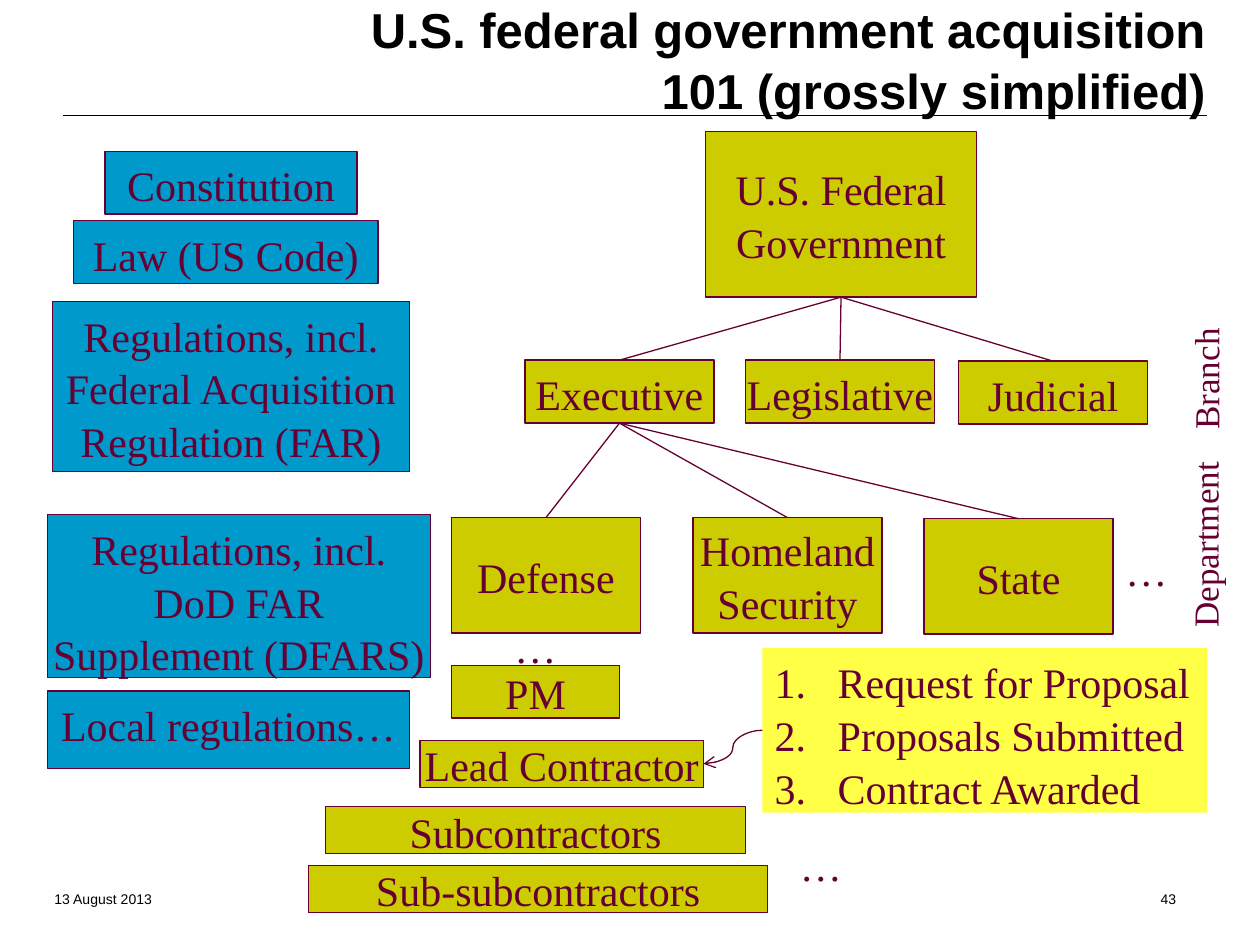
from dataclasses import dataclass

from lxml import etree
from pptx import Presentation, util as u
from pptx.dml.color import RGBColor
from pptx.enum import shapes, text
from pptx.oxml import ns

TOP, MIDDLE, BOTTOM = (text.MSO_ANCHOR.TOP, text.MSO_ANCHOR.MIDDLE,
                       text.MSO_ANCHOR.BOTTOM)
LEFT, CENTER, RIGHT = text.PP_ALIGN.LEFT, text.PP_ALIGN.CENTER, text.PP_ALIGN.RIGHT
SIDE_TOP, SIDE_LEFT, SIDE_BOTTOM, SIDE_RIGHT = range(4)


@dataclass(frozen=True)
class Theme:
    """Colours, fonts and type sizes of the slide."""
    plum: str = "660033"
    olive: str = "CCCC00"
    blue: str = "0099CC"
    yellow: str = "FFFF47"
    black: str = "000000"
    serif: str = "Times New Roman"
    sans: str = "Arial"
    title: int = 28
    body: int = 24
    label: int = 20
    footer: int = 8
    leading: float = 1.05
    stroke: float = 0.75


class Deck:
    """Draws elements on a grid of 120 columns by 90 rows."""
    columns, rows = 120, 90

    def __init__(self, theme):
        """Start a presentation with one title-only slide."""
        self.theme = theme
        self.presentation = Presentation()
        self.presentation.slide_width = u.Inches(10)
        self.presentation.slide_height = u.Inches(7.5)
        self.slide = self.presentation.slides.add_slide(
            self.presentation.slide_layouts[5])

    def x(self, column):
        """Turn a column into a length."""
        return round(self.presentation.slide_width * column / self.columns)

    def y(self, row):
        """Turn a row into a length."""
        return round(self.presentation.slide_height * row / self.rows)

    def area(self, left, top, width, height):
        """Turn a grid area into lengths."""
        return self.x(left), self.y(top), self.x(width), self.y(height)

    def apply(self, target, formats):
        """Set attributes from a dict of format values."""
        for attribute, value in formats.items():
            setattr(target, attribute, value)

    def fill_text(self, shape, wording, size, color, face, align=LEFT,
                  anchor=TOP, wrap=False, bold=False):
        """Fill a shape with formatted paragraphs."""
        frame = shape.text_frame
        frame.text = wording
        self.apply(frame, {"word_wrap": wrap, "vertical_anchor": anchor,
                           "auto_size": text.MSO_AUTO_SIZE.NONE})
        for paragraph in frame.paragraphs:
            self.apply(paragraph, {"alignment": align,
                                   "line_spacing": self.theme.leading})
            font = paragraph.runs[0].font
            self.apply(font, {"size": u.Pt(size), "name": face, "bold": bold})
            font.color.rgb = RGBColor.from_string(color)

    def title(self, wording, area):
        """Place and format the title placeholder."""
        heading = self.slide.shapes.title
        self.apply(heading, dict(zip(("left", "top", "width", "height"),
                                     self.area(*area))))
        self.fill_text(heading, wording, self.theme.title, self.theme.black,
                       self.theme.sans, RIGHT, BOTTOM, True, True)

    def box(self, wording, area, fill, anchor=MIDDLE, align=CENTER, outlined=True):
        """Add a filled rectangle with text."""
        box = self.slide.shapes.add_shape(
            shapes.MSO_SHAPE.RECTANGLE, *self.area(*area))
        box.shadow.inherit = False
        box.fill.solid()
        box.fill.fore_color.rgb = RGBColor.from_string(fill)
        if outlined:
            self.stroke(box.line, self.theme.plum)
        else:
            box.line.fill.background()
        self.fill_text(box, wording, self.theme.body, self.theme.plum,
                       self.theme.serif, align, anchor)
        return box

    def steps(self, wording, area):
        """Add a numbered list on a yellow panel."""
        panel = self.box(wording, area, self.theme.yellow, TOP, LEFT, False)
        for paragraph in panel.text_frame.paragraphs:
            properties = paragraph._p.get_or_add_pPr()
            properties.set("marL", str(u.Inches(0.5)))
            properties.set("indent", str(-u.Inches(0.5)))
            etree.SubElement(properties, ns.qn("a:buFont"), typeface="+mj-lt")
            etree.SubElement(properties, ns.qn("a:buAutoNum"), type="arabicPeriod")
        return panel

    def label(self, wording, area, size=None, rotation=0):
        """Add a plain text label."""
        label = self.slide.shapes.add_textbox(*self.area(*area))
        label.rotation = rotation
        self.fill_text(label, wording, size or self.theme.body, self.theme.plum,
                       self.theme.serif)

    def footer(self, wording, area, align):
        """Add a small footer text."""
        footer = self.slide.shapes.add_textbox(*self.area(*area))
        self.fill_text(footer, wording, self.theme.footer, self.theme.black,
                       self.theme.sans, align, BOTTOM, True)

    def stroke(self, line, color):
        """Give a line its colour and width."""
        line.color.rgb = RGBColor.from_string(color)
        line.width = u.Pt(self.theme.stroke)

    def connector(self, kind, color, ends=(0, 0, 0, 0)):
        """Add a connector without a shadow."""
        connector = self.slide.shapes.add_connector(kind, *self.area(*ends))
        self.stroke(connector.line, color)
        etree.SubElement(connector._element.spPr, ns.qn("a:effectLst"))
        return connector

    def rule(self, start, end, row):
        """Add a horizontal rule."""
        self.connector(shapes.MSO_CONNECTOR.STRAIGHT, self.theme.black,
                       (start, row, end, row))

    def branch(self, parent, children):
        """Join a parent box to each box below it."""
        for child in children:
            link = self.connector(shapes.MSO_CONNECTOR.STRAIGHT, self.theme.plum)
            link.begin_connect(parent, SIDE_BOTTOM)
            link.end_connect(child, SIDE_TOP)

    def curved_arrow(self, source, target):
        """Join the left of one box to the right of another."""
        arrow = self.connector(shapes.MSO_CONNECTOR.CURVE, self.theme.plum)
        arrow.begin_connect(source, SIDE_LEFT)
        arrow.end_connect(target, SIDE_RIGHT)
        etree.SubElement(arrow.line._get_or_add_ln(), ns.qn("a:tailEnd"), type="arrow")


def main():
    """Build the acquisition overview slide."""
    theme = Theme()
    deck = Deck(theme)
    deck.rule(6, 115, 11)
    deck.title("U.S. federal government acquisition 101 (grossly simplified)",
               (34, 1, 82, 11))
    deck.footer("13 August 2013", (4, 81, 25, 6), LEFT)
    deck.footer("43", (88.2, 81, 25, 6), RIGHT)

    for wording, area in (
            ("Constitution", (10, 14.4, 24, 6)),
            ("Law (US Code)", (7, 21, 29, 6)),
            ("Regulations, incl.\nFederal Acquisition\nRegulation (FAR)",
             (5, 28.7, 34, 16.2)),
            ("Regulations, incl.\nDoD FAR\nSupplement (DFARS)",
             (4.5, 49, 36.5, 15.5)),
            ("Local regulations…", (4.5, 65.8, 34.5, 7.4))):
        deck.box(wording, area, theme.blue, TOP)

    government = deck.box("U.S. Federal\nGovernment", (67.2, 12.5, 25.8, 15.8),
                          theme.olive)
    branches = [deck.box(wording, (left, top, 18, 6), theme.olive, TOP)
                for wording, left, top in (("Executive", 50, 34.3),
                                           ("Legislative", 71, 34.3),
                                           ("Judicial", 91.3, 34.4))]
    departments = [deck.box(wording, (left, top, 18, 11), theme.olive)
                   for wording, left, top in (("Defense", 43, 49.3),
                                              ("Homeland\nSecurity", 66, 49.3),
                                              ("State", 88, 49.4))]
    deck.branch(government, branches)
    deck.branch(branches[0], departments)

    deck.box("PM", (43, 63.4, 16, 5), theme.olive)
    lead, *_ = [deck.box(wording, (left, top, width, 4.5), theme.olive)
                for wording, left, top, width in (
                    ("Lead Contractor", 40, 70.5, 27),
                    ("Subcontractors", 31, 76.8, 40),
                    ("Sub-subcontractors", 29.4, 82.4, 43.7))]
    bidding = deck.steps("Request for Proposal\nProposals Submitted\nContract Awarded",
                         (72.6, 61.7, 42.4, 15.7))
    deck.curved_arrow(bidding, lead)

    for left, top in ((106, 51), (47.8, 58.4), (75, 79.1)):
        deck.label("…", (left, top, 6.5, 6.1))
    deck.label("Branch", (108.6, 33.4, 12.1, 5.3), theme.label, 270)
    deck.label("Department", (105.5, 49.2, 18.2, 5.3), theme.label, 270)
    deck.presentation.save("out.pptx")


if __name__ == "__main__":
    main()
